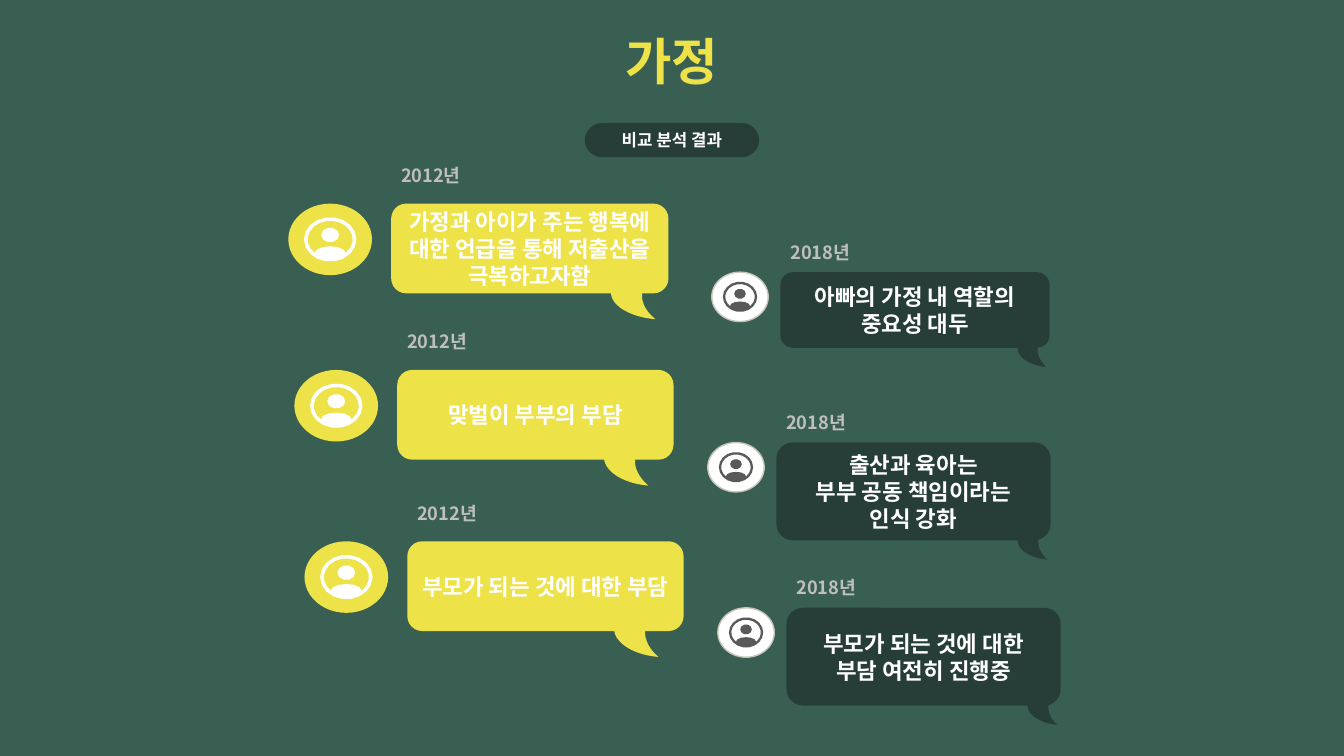
"""Build the slide comparing 2012 and 2018 views on family."""
from math import cos, sin, radians
from lxml.etree import SubElement
from pptx import Presentation
from pptx.dml.color import RGBColor
from pptx.enum.shapes import MSO_SHAPE
from pptx.enum.text import MSO_ANCHOR, MSO_AUTO_SIZE, PP_ALIGN
from pptx.oxml.ns import qn
from pptx.util import Inches, Pt

FACE = "Noto Sans CJK KR"
YELLOW, DARK, WHITE = "EEE249", "273E38", "FFFFFF"
hue = RGBColor.from_string


def paint(shape, fill, line=None):
    """Give a shape a flat fill and an optional outline."""
    shape.shadow.inherit = False
    shape.fill.solid()
    shape.fill.fore_color.rgb = hue(fill)
    if line:
        shape.line.color.rgb = hue(line)
        shape.line.width = Pt(1)
    else:
        shape.line.fill.background()


def write(shape, text, size, color, align=PP_ALIGN.CENTER, anchor=MSO_ANCHOR.MIDDLE):
    """Put bold text into a shape, one paragraph per line."""
    frame = shape.text_frame
    frame.text = text
    look = {"word_wrap": True, "auto_size": MSO_AUTO_SIZE.NONE, "vertical_anchor": anchor}
    for key, val in look.items():
        setattr(frame, key, val)
    for para in frame.paragraphs:
        para.alignment = align
        for run in para.runs:
            for key, val in {"name": FACE, "size": Pt(size), "bold": True}.items():
                setattr(run.font, key, val)
            run.font.color.rgb = hue(color)
            SubElement(run.font._element, qn("a:ea"), typeface=FACE)


deck = Presentation()
deck.slide_width, deck.slide_height = Inches(13.33), Inches(7.5)
slide = deck.slides.add_slide(deck.slide_layouts[5])
slide.background.fill.solid()
slide.background.fill.fore_color.rgb = hue("395F52")

title = slide.shapes.title
place = {"left": 3.33, "top": 0.24, "width": 6.67, "height": 0.71}
for key, val in place.items():
    setattr(title, key, Inches(val))
write(title, "가정", 36, YELLOW)

pill = slide.shapes.add_shape(
    MSO_SHAPE.ROUNDED_RECTANGLE, Inches(5.8), Inches(1.22), Inches(1.73), Inches(0.34))
pill.adjustments[0] = 0.5
paint(pill, DARK)
write(pill, "비교 분석 결과", 12, WHITE)

rim = [(cos(radians(a)), sin(radians(a))) for a in range(0, 360, 20)]
head = [(0.34 * cos(radians(a)), 0.33 * sin(radians(a)) - 0.2) for a in range(0, 360, 36)]
room = [(0.86 * cos(radians(a)), 0.84 * sin(radians(a))) for a in range(133, 408, 18)]
room += [(0.59 * cos(radians(a)), 0.62 - 0.31 * sin(radians(a))) for a in range(0, 181, 30)]

old = {"year": "2012년", "fill": YELLOW, "disc": YELLOW, "edge": None, "icon": WHITE,
       "gap": 1.02, "size": (0.83, 0.71), "half": (0.26, 0.22), "rise": 0.44, "span": 2.19}
new = {"year": "2018년", "fill": DARK, "disc": WHITE, "edge": "C9C4BB", "icon": "595959",
       "gap": 0.68, "size": (0.56, 0.49), "half": (0.17, 0.15), "rise": 0.36, "span": 1.45}

rows = [
    (old, (3.88, 2.02, 2.75, 0.89), (2.18, -0.23, 0.46, 0.47),
     "가정과 아이가 주는 행복에 대한 언급을 통해 저출산을 극복하고자함"),
    (new, (7.74, 2.7, 2.67, 0.75), (2.35, -0.18, 0.3, 0.36),
     "아빠의 가정 내 역할의 중요성 대두"),
    (old, (3.94, 3.67, 2.74, 0.89), (2.05, -0.27, 0.46, 0.51), "맞벌이 부부의 부담"),
    (new, (7.7, 4.39, 2.72, 0.97), (2.39, -0.18, 0.31, 0.36),
     "출산과 육아는\n부부 공동 책임이라는\n인식 강화"),
    (old, (4.04, 5.37, 2.74, 0.89), (2.05, -0.27, 0.46, 0.51), "부모가 되는 것에 대한 부담"),
    (new, (7.8, 6.03, 2.72, 0.97), (2.39, -0.18, 0.31, 0.36),
     "부모가 되는 것에 대한 부담 여전히 진행중"),
]

for kind, (x, y, w, h), (dx, dy, tw, th), text in rows:
    group = slide.shapes.add_group_shape().shapes
    dw, dh = kind["size"]
    left = x - kind["gap"]
    disc = group.add_shape(MSO_SHAPE.OVAL, Inches(left), Inches(y), Inches(dw), Inches(dh))
    paint(disc, kind["disc"], kind["edge"])

    mx, my = left + dw / 2, y + dh / 2
    rx, ry = kind["half"]
    pen = group.build_freeform(Inches(mx + rx), Inches(my))
    for loop in (rim, head, room):
        dots = [(Inches(mx + rx * u), Inches(my + ry * v)) for u, v in loop]
        if loop is not rim:
            pen.move_to(*dots[0])
        pen.add_line_segments(dots[1:], close=True)
    paint(pen.convert_to_shape(), kind["icon"])

    tail = group.add_shape(
        MSO_SHAPE.MOON, Inches(x + dx), Inches(y + h + dy), Inches(tw), Inches(th))
    tail.adjustments[0] = 0.67
    tail.rotation = 4.4
    paint(tail, kind["fill"])

    box = group.add_shape(
        MSO_SHAPE.ROUNDED_RECTANGLE, Inches(x), Inches(y), Inches(w), Inches(h))
    paint(box, kind["fill"])
    write(box, text, 16, WHITE)

    year = group.add_textbox(
        Inches(x), Inches(y - kind["rise"]), Inches(kind["span"]), Inches(0.32))
    write(year, kind["year"], 13, "BFBFBF", PP_ALIGN.LEFT, MSO_ANCHOR.TOP)

deck.save("out.pptx")
